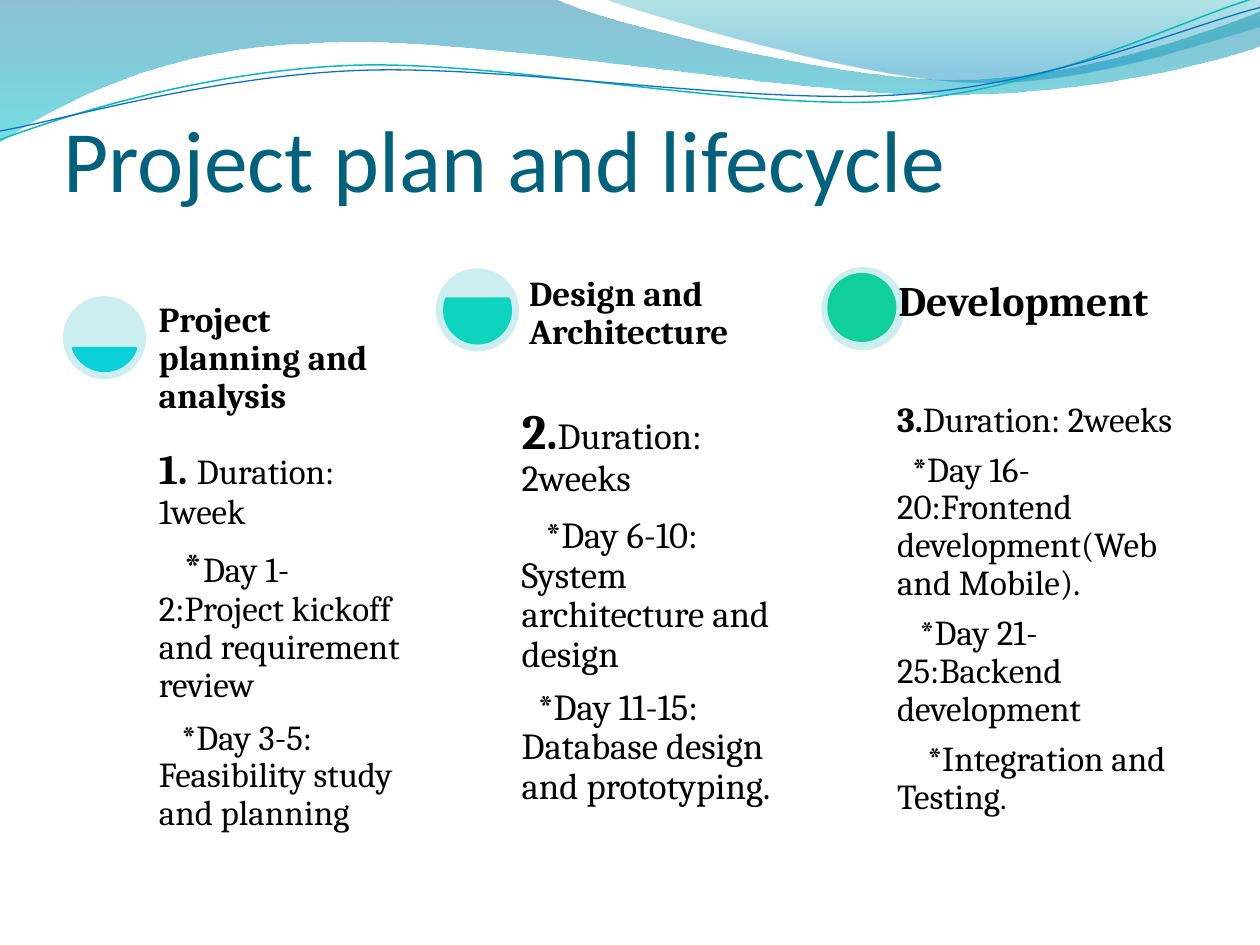
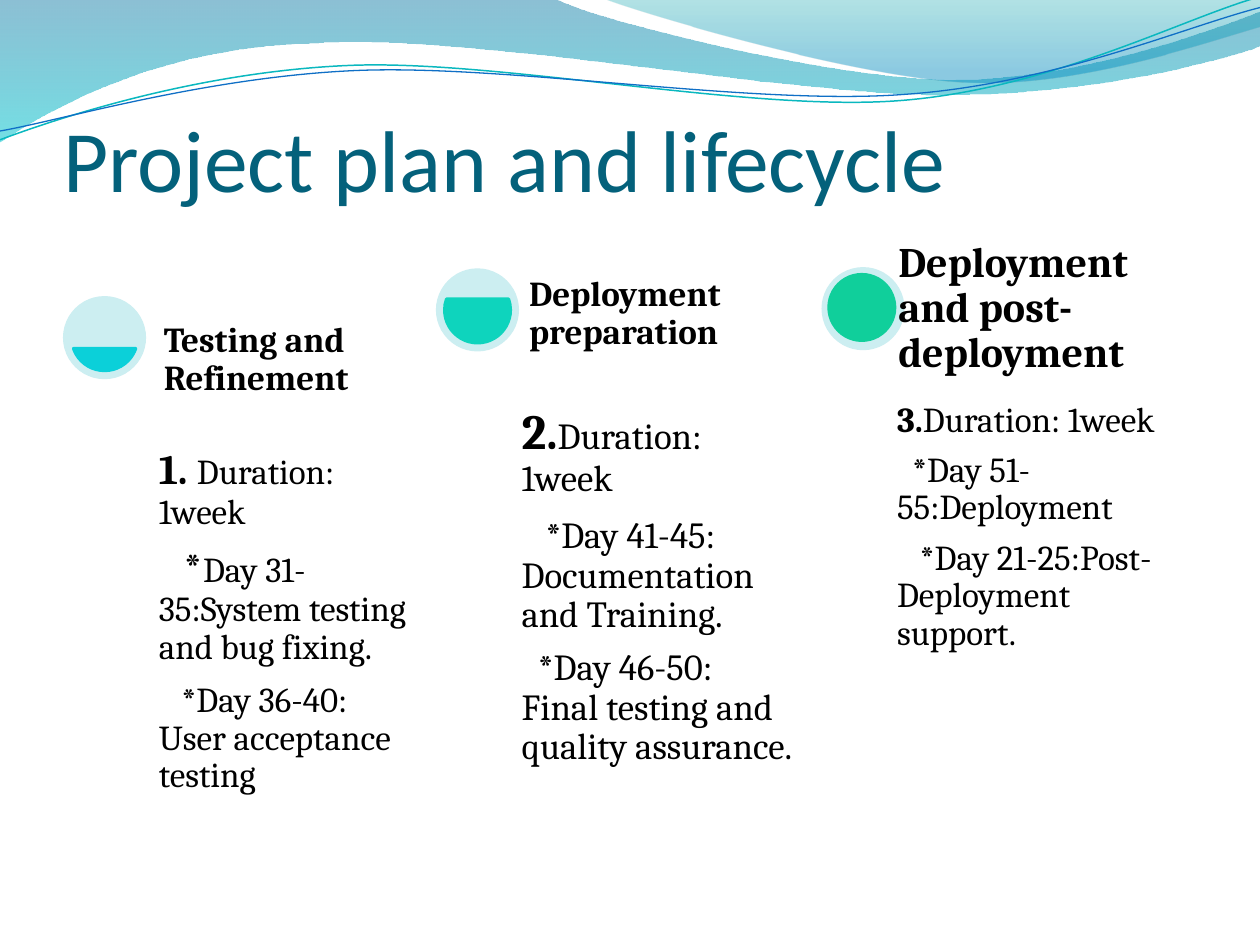
from dataclasses import dataclass

from lxml import etree
from pptx import Presentation
from pptx import util as u
from pptx.dml.color import RGBColor
from pptx.enum import shapes, text
from pptx.oxml.ns import qn

PX = 9144  # 100 px to the inch


@dataclass(frozen=True)
class Theme:
    title_font: str = "Calibri"
    body_font: str = "Cambria"
    title_size: int = 50
    full_stop_size: int = 18
    title: str = "04617B"
    ink: str = "000000"
    disc: str = "CCEEF1"
    upper_wave: tuple = ((0, "0074A1", 45), (1, "00C6CF", 55))
    right_wave: tuple = ((0, "00A1A9", 30), (0.8, "008BBF", 45))
    teal_line: str = "0AB8BF"
    blue_line: str = "0F6FC6"


THEME = Theme()


@dataclass(frozen=True)
class Column:
    """One phase column; the boxes are relative to the corner of its disc."""
    x: int
    y: int
    color: str
    chord: tuple
    chord_inset: int
    body: tuple
    inset: int
    number: str
    number_size: int
    size: int
    days: tuple  # (first-line indent, size of the star) of each entry
    head_size: tuple
    head_inset: int
    head_pt: int


COLUMNS = (
    Column(50, 235, "0BD0D9", (11.68, 96.32), 7, (69, 114, 212, 276), 7,
           "1. ", 24, 20, ((20, 24), (18, 20)), (194, 109), 6, 20),
    Column(346, 213, "0ED4BD", (204.32, 119.68), 7, (60, 102, 231, 318), 8,
           "2.", 28, 21, ((19, 21), (13, 21)), (210, 59), 6, 20),
    Column(652, 212, "10CF9B", (162, 162), 6, (54, 101, 244, 326), 6,
           "3.", 20, 20, ((12, 20), (18, 20), (24, 20)), (243, 39), 7, 24),
)

# For each column: heading, its offset from the disc, duration, entries
PLANS = (
    (("Project planning and analysis", (70, -8), "1week",
      ("Day 1-2:Project kickoff and requirement review",
       "Day 3-5: Feasibility study and planning")),
     ("Design and Architecture", (68, 13), "2weeks",
      ("Day 6-10: System architecture and design",
       "Day 11-15: Database design and prototyping.")),
     ("Development", (54, 14), "2weeks",
      ("Day 16-20:Frontend development(Web and Mobile).",
       "Day 21-25:Backend development",
       "Integration and Testing."))),
    (("Testing and Refinement", (74, -22), "1week",
      ("Day 31-35:System testing and bug fixing.",
       "Day 36-40: User acceptance testing")),
     ("Deployment preparation", (68, 13), "1week",
      ("Day 41-45: Documentation and Training.",
       "Day 46-50: Final testing and quality assurance.")),
     ("Deployment and post-deployment", (54, 55), "1week",
      ("Day 51-55:Deployment",
       "Day 21-25:Post-Deployment support."))),
)

# Each outline is a chain of steps: one point is a line, three are a curve
UPPER = (((0, 0),), ((440, -1),),
         ((476, 17), (664, 63), (758, 63)), ((853, 63), (958, 26), (1000, 9)),
         ((1001, 36),),
         ((983, 44), (870, 76), (746, 75)), ((622, 75), (382, 28), (257, 34)),
         ((129, 36), (46, 83), (-1, 113)))
RIGHT = (((479, -1),),
         ((509, 11), (682, 62), (769, 65)), ((856, 69), (961, 32), (1000, 21)),
         ((1000, 0),))
TEAL = (((0, 111),), ((48, 93), (158, 57), (277, 52)),
        ((395, 47), (593, 89), (713, 80)), ((833, 71), (938, 15), (998, -2)))
BLUE = (((0, 104),), ((47, 96), (164, 61), (283, 56)),
        ((403, 51), (597, 84), (717, 75)), ((836, 67), (941, 21), (1000, 6)))


def px(*lengths):
    return [round(n * PX) for n in lengths]


def rgb(color):
    return RGBColor.from_string(color)


def add_text(p, words, size, color=THEME.ink, font=THEME.body_font, bold=False):
    r = p.add_run()
    r.text = words
    r.font.size, r.font.name, r.font.bold = u.Pt(size), font, bold
    r.font.color.rgb = rgb(color)
    return r


def add_outline(slide, steps, close):
    """Build a freeform, then join each three-point step into one curve."""
    start, *rest = [tuple(px(*point)) for step in steps for point in step]
    builder = slide.shapes.build_freeform(*start, scale=1.0)
    builder.add_line_segments(rest, close=close)
    sp = builder.convert_to_shape()
    sp.shadow.inherit = False
    lines = iter(list(sp.element.iter(qn("a:lnTo"))))
    for step in steps[1:]:
        parts = [next(lines) for _ in step]
        if len(step) == 3:
            curve = etree.Element(qn("a:cubicBezTo"))
            parts[0].addprevious(curve)
            for part in parts:
                curve.append(part[0])
                part.getparent().remove(part)
    return sp


def add_wave(slide, steps, stops):
    sp = add_outline(slide, steps, True)
    sp.line.fill.background()
    sp.fill.gradient()
    sp.fill.gradient_angle = 270
    for stop, (position, color, _) in zip(sp.fill.gradient_stops, stops):
        stop.position = position
        stop.color.rgb = rgb(color)
    for clr, (_, _, opacity) in zip(sp.element.iter(qn("a:srgbClr")), stops):
        etree.SubElement(clr, qn("a:alpha"), val=str(opacity * 1000))
    return sp


def add_wave_line(slide, steps, color, width):
    sp = add_outline(slide, steps, False)
    sp.fill.background()
    sp.line.color.rgb = rgb(color)
    sp.line.width = u.Pt(width)
    return sp


def put_waves_on_master(prs, slide):
    """Draw the band on a slide, then move it behind the master's parts."""
    band = (
        add_wave(slide, UPPER, THEME.upper_wave),
        add_wave(slide, RIGHT, THEME.right_wave),
        add_wave_line(slide, TEAL, THEME.teal_line, 0.85),
        add_wave_line(slide, BLUE, THEME.blue_line, 0.75),
    )
    front = prs.slide_master.shapes[0].element
    for number, sp in enumerate(band, 101):
        next(sp.element.iter(qn("p:cNvPr"))).set("id", str(number))
        front.addprevious(sp.element)


def set_up_title(layout):
    sp = layout.placeholders[0]
    sp.left, sp.top, sp.width, sp.height = px(50, 77, 900, 90)
    tf = sp.text_frame
    tf.vertical_anchor = text.MSO_ANCHOR.BOTTOM
    tf.auto_size = text.MSO_AUTO_SIZE.NONE
    tf.margin_left, tf.margin_top, tf.margin_right, tf.margin_bottom = px(0, 5, 0, 0)


def add_title(slide, words):
    p = slide.shapes.title.text_frame.paragraphs[0]
    p.alignment = text.PP_ALIGN.LEFT
    add_text(p, words, THEME.title_size, THEME.title, THEME.title_font)


def add_box(slide, box, inset, anchor):
    tf = slide.shapes.add_textbox(*px(*box)).text_frame
    tf.word_wrap = True
    tf.vertical_anchor = anchor
    tf.margin_left = tf.margin_top = tf.margin_right = tf.margin_bottom = inset * PX
    return tf


def space(p, indent=0):
    """Set line spacing, the gap after as a share of a line, and the indent."""
    p.line_spacing = 0.9
    p.space_after = u.Pt(0)
    pPr = p._p.get_or_add_pPr()
    pPr.set("marL", "0")
    pPr.set("indent", str(indent * PX))
    gap = pPr.find(qn("a:spcAft"))
    gap.clear()
    etree.SubElement(gap, qn("a:spcPct"), val="35000")
    return p


def add_disc(slide, kind, x, y, size, color):
    sp = slide.shapes.add_shape(kind, *px(x, y, size, size))
    sp.shadow.inherit = False
    sp.fill.solid()
    sp.fill.fore_color.rgb = rgb(color)
    sp.line.fill.background()
    return sp


def add_progress(slide, col):
    add_disc(slide, shapes.MSO_SHAPE.OVAL, col.x, col.y, 66, THEME.disc)
    sp = add_disc(slide, shapes.MSO_SHAPE.CHORD, col.x + col.chord_inset,
                  col.y + col.chord_inset, 52, col.color)
    sp.adjustments[0], sp.adjustments[1] = col.chord
    sp.line.color.rgb = rgb(col.color)
    sp.line.width = u.Pt(2)


def add_entry(p, entry, star_size, size):
    if star_size > size:
        add_text(p, "*", star_size, bold=True)
    else:
        entry = "*" + entry
    if entry.endswith("Testing."):
        add_text(p, entry[:-1], size)
        add_text(p, ".", THEME.full_stop_size)
    else:
        add_text(p, entry, size)


def add_phase(slide, col, heading, offset, duration, entries):
    add_progress(slide, col)

    dx, dy, width, height = col.body
    tf = add_box(slide, (col.x + dx, col.y + dy, width, height), col.inset,
                 text.MSO_ANCHOR.TOP)
    p = space(tf.paragraphs[0])
    add_text(p, col.number, col.number_size, bold=True)
    add_text(p, f"Duration: {duration}", col.size)
    for entry, (indent, star_size) in zip(entries, col.days):
        add_entry(space(tf.add_paragraph(), indent), entry, star_size, col.size)

    dx, dy = offset
    tf = add_box(slide, (col.x + dx, col.y + dy, *col.head_size), col.head_inset,
                 text.MSO_ANCHOR.BOTTOM)
    add_text(space(tf.paragraphs[0]), heading, col.head_pt, bold=True)


def add_plan_slide(prs, layout, plan):
    slide = prs.slides.add_slide(layout)
    add_title(slide, "Project plan and lifecycle")
    for col, phase in zip(COLUMNS, plan):
        add_phase(slide, col, *phase)
    return slide


def main():
    prs = Presentation()
    prs.slide_width, prs.slide_height = px(1000, 750)
    layout = prs.slide_layouts.get_by_name("Title Only")
    set_up_title(layout)
    slides = [add_plan_slide(prs, layout, plan) for plan in PLANS]
    put_waves_on_master(prs, slides[0])
    prs.save("out.pptx")


if __name__ == "__main__":
    main()
